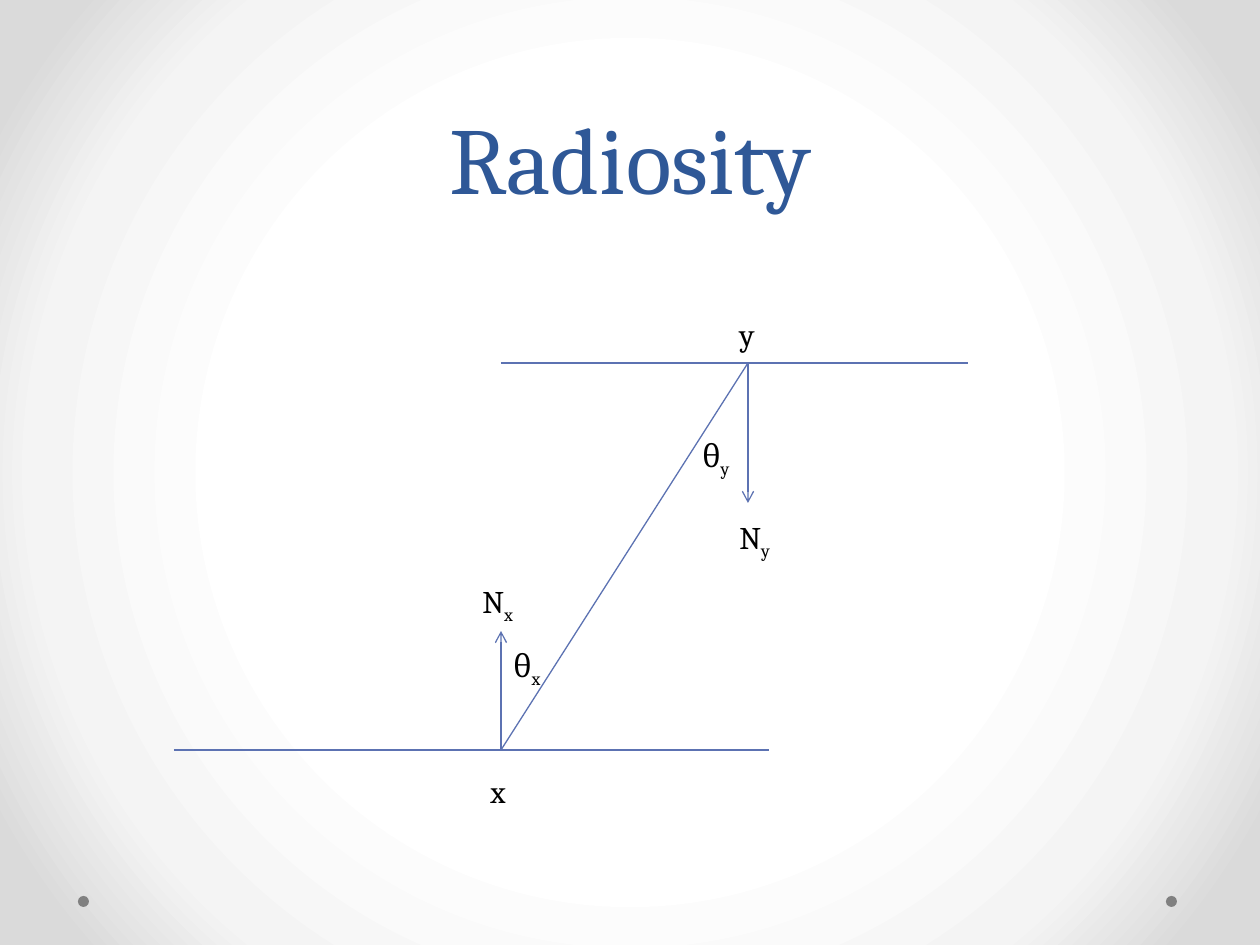
import lxml.etree
import pptx
import pptx.dml.color
import pptx.enum.shapes
import pptx.enum.text
import pptx.oxml
import pptx.oxml.ns
import pptx.util

SCALE = 914400 / 126  # EMU per px
FONT = "Cambria"
BLUE, LINE, GREY, BLACK = "2F5897", "5C72B2", "808080", "000000"
BACKGROUND = [(50, "FFFFFF"), (76, "F4F4F4"), (92, "DADADA")]

LOWER_Y, UPPER_Y = 750, 363
POINT_X, POINT_Y = (501, LOWER_Y), (748, UPPER_Y)
LINES = [  # start, end, arrowhead
    ((174, LOWER_Y), (769, LOWER_Y), False),
    ((501, UPPER_Y), (968, UPPER_Y), False),
    (POINT_X, POINT_Y, False),
    (POINT_X, (501, 631), True),
    (POINT_Y, (748, 503), True),
]
LABELS = [  # left, top, width, text, subscript
    (478, 766, 42, "x", ""),
    (727, 309, 43, "y", ""),
    (727, 512, 64, "N", "y"),
    (470, 576, 63, "N", "x"),
    (501, 640, 57, "θ", "x"),
    (690, 430, 57, "θ", "y"),
]


def px(*lengths):
    return [pptx.util.Emu(round(length * SCALE)) for length in lengths]


def colour(value):
    return pptx.dml.color.RGBColor.from_string(value)


def apply(target, values):
    for name, value in values.items():
        setattr(target, name, value)


def format_span(span, size, value):
    apply(span.font, {"name": FONT, "size": pptx.util.Pt(size)})
    span.font.color.rgb = colour(value)


def set_background(page):
    """Fill the page with a radial gradient around its centre."""
    fill = page.background.fill
    fill.gradient()
    gradient = page.background._cSld.find(".//" + pptx.oxml.ns.qn("a:gradFill"))
    for child in list(gradient):
        gradient.remove(child)
    stops = "".join(
        f'<a:gs pos="{position * 1000}"><a:srgbClr val="{value}"/></a:gs>'
        for position, value in BACKGROUND
    )
    namespace = pptx.oxml.ns.nsdecls("a")
    gradient.append(pptx.oxml.parse_xml(f"<a:gsLst {namespace}>{stops}</a:gsLst>"))
    gradient.append(pptx.oxml.parse_xml(
        f'<a:path {namespace} path="circle">'
        '<a:fillToRect l="50000" t="50000" r="50000" b="50000"/></a:path>'
    ))


def add_dot(page, left):
    dot = page.shapes.add_shape(
        pptx.enum.shapes.MSO_SHAPE.OVAL, *px(left, 896, 11, 11)
    )
    dot.shadow.inherit = False
    dot.fill.solid()
    dot.fill.fore_color.rgb = colour(GREY)
    dot.line.fill.background()


def set_title(page, text):
    title = page.shapes.title
    apply(title, dict(zip(("left", "top", "width", "height"), px(63, 0, 1134, 220))))
    apply(title.text_frame, {
        "vertical_anchor": pptx.enum.text.MSO_ANCHOR.BOTTOM,
        "word_wrap": True,
    })
    para = title.text_frame.paragraphs[0]
    apply(para, {
        "alignment": pptx.enum.text.PP_ALIGN.CENTER,
        "line_spacing": pptx.util.Pt(58),
    })
    span = para.add_run()
    span.text = text
    format_span(span, 54, BLUE)


def add_line(page, start, end, arrow):
    line = page.shapes.add_connector(
        pptx.enum.shapes.MSO_CONNECTOR.STRAIGHT, *px(*start, *end)
    )
    line.line.width = pptx.util.Pt(0.75)
    line.line.color.rgb = colour(LINE)
    if arrow:
        lxml.etree.SubElement(
            line.line._get_or_add_ln(), pptx.oxml.ns.qn("a:tailEnd"), type="arrow"
        )
    lxml.etree.SubElement(line._element.spPr, pptx.oxml.ns.qn("a:effectLst"))


def add_label(page, left, top, width, text, subscript):
    box = page.shapes.add_textbox(*px(left, top, width, 50))
    apply(box.text_frame, {
        "word_wrap": False,
        "auto_size": pptx.enum.text.MSO_AUTO_SIZE.SHAPE_TO_FIT_TEXT,
    })
    para = box.text_frame.paragraphs[0]
    for part, baseline in ((text, 0), (subscript, -25)):
        if part:
            span = para.add_run()
            span.text = part
            format_span(span, 18, BLACK)
            if baseline:
                span.font._element.set("baseline", str(baseline * 1000))


def main():
    deck = pptx.Presentation()
    apply(deck, dict(zip(("slide_width", "slide_height"), px(1260, 945))))
    page = deck.slides.add_slide(deck.slide_layouts[5])
    set_background(page)
    for left in (1166, 78):
        add_dot(page, left)
    set_title(page, "Radiosity")
    for line in LINES:
        add_line(page, *line)
    for label in LABELS:
        add_label(page, *label)
    deck.save("out.pptx")


if __name__ == "__main__":
    main()
